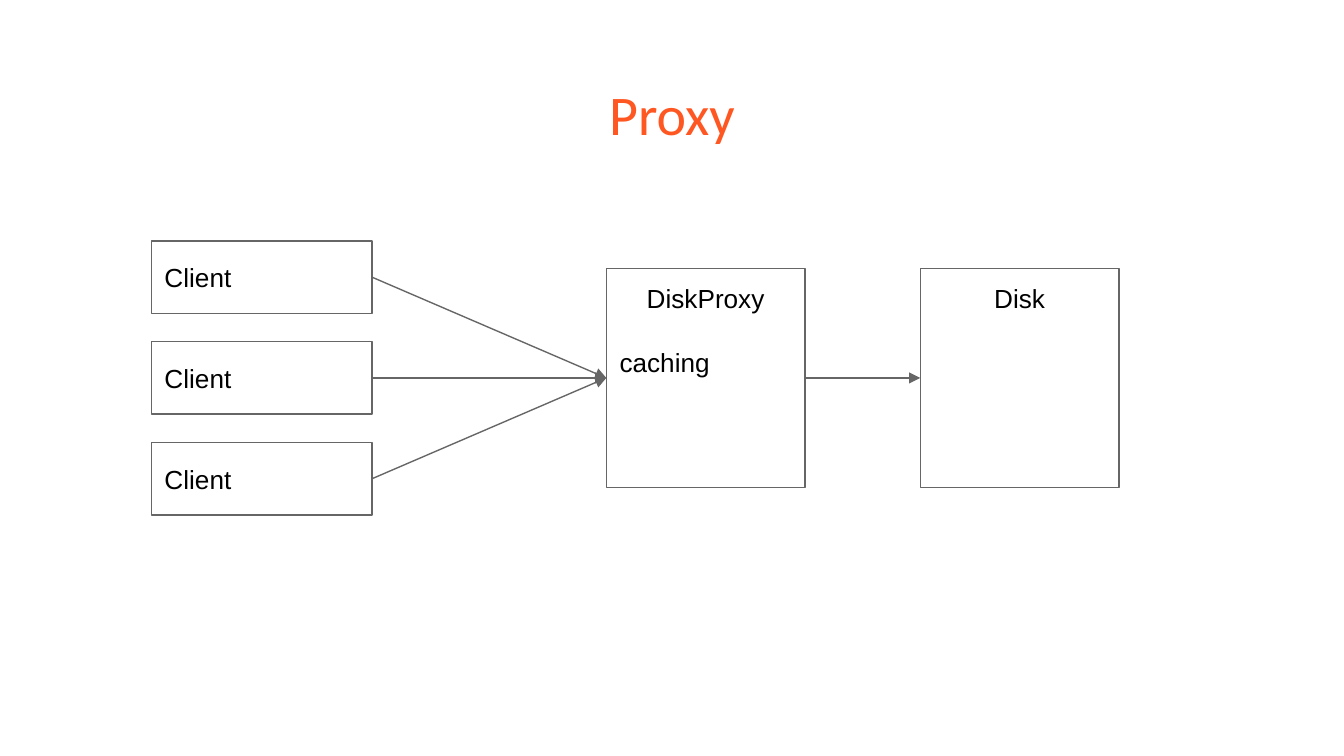
"""Build the Proxy pattern slide: clients, a caching disk proxy and a disk."""
import pptx
import pptx.util
import pptx.dml.color
import pptx.enum.shapes
import pptx.enum.text
import lxml.etree

Pt = pptx.util.Pt
ALIGN = pptx.enum.text.PP_ALIGN
ANCHOR = pptx.enum.text.MSO_ANCHOR
INK, LINE, ACCENT = "000000", "666666", "FF5722"
LEFT, RIGHT = 1, 3

TITLE = "Proxy"
CLIENTS = ["Client", "Client", "Client"]
PROXY = ["DiskProxy", "caching"]
DISK = ["Disk"]

MID_Y = 202.5
CLIENT_X, CLIENT_W, CLIENT_H, CLIENT_PITCH = 81, 118.3, 38.8, 54
PROXY_X, DISK_X, BOX_W, BOX_H = 324.8, 493, 106.5, 117.3


def color(value):
    return pptx.dml.color.RGBColor.from_string(value)


def format_text(tf, lines, size, font, ink, align, anchor):
    tf.word_wrap = True
    tf.vertical_anchor = anchor
    tf.margin_left = tf.margin_right = tf.margin_top = tf.margin_bottom = Pt(7.2)
    tf.text = "\n".join(lines)
    for p in tf.paragraphs:
        p.alignment = align
        for r in p.runs:
            r.font.size, r.font.name = Pt(size), font
            r.font.color.rgb = color(ink)


def add_box(lines, x, mid_y, w, h, align, anchor):
    sp = s.shapes.add_shape(pptx.enum.shapes.MSO_SHAPE.RECTANGLE,
                            Pt(x), Pt(mid_y - h / 2), Pt(w), Pt(h))
    sp.shadow.inherit = False
    sp.fill.background()
    sp.line.color.rgb = color(LINE)
    sp.line.width = Pt(0.75)
    format_text(sp.text_frame, lines, 14, "Arial", INK, align, anchor)
    return sp


def add_arrow(source, target):
    cx = s.shapes.add_connector(pptx.enum.shapes.MSO_CONNECTOR.STRAIGHT, 0, 0, 0, 0)
    cx.begin_connect(source, RIGHT)
    cx.end_connect(target, LEFT)
    cx.line.color.rgb = color(LINE)
    cx.line.width = Pt(0.75)
    ns = pptx.oxml.ns.qn
    lxml.etree.SubElement(cx.line._get_or_add_ln(), ns("a:tailEnd"), type="triangle")
    lxml.etree.SubElement(cx._element.spPr, ns("a:effectLst"))


prs = pptx.Presentation()
prs.slide_width, prs.slide_height = Pt(720), Pt(405)
s = prs.slides.add_slide(prs.slide_layouts[5])

title = s.shapes.title
title.left, title.top, title.width, title.height = Pt(24.5), Pt(35.3), Pt(671), Pt(45.4)
format_text(title.text_frame, [TITLE], 30, "Calibri", ACCENT, ALIGN.CENTER, ANCHOR.TOP)
title.text_frame.auto_size = pptx.enum.text.MSO_AUTO_SIZE.NONE

disk = add_box(DISK, DISK_X, MID_Y, BOX_W, BOX_H, ALIGN.CENTER, ANCHOR.TOP)
proxy = add_box(PROXY, PROXY_X, MID_Y, BOX_W, BOX_H, ALIGN.CENTER, ANCHOR.TOP)
note = proxy.text_frame.paragraphs[1]
note.alignment = ALIGN.LEFT
note.space_before = Pt(17.5)

add_arrow(proxy, disk)
for i, name in enumerate(CLIENTS):
    y = MID_Y + (i - (len(CLIENTS) - 1) / 2) * CLIENT_PITCH
    client = add_box([name], CLIENT_X, y, CLIENT_W, CLIENT_H, ALIGN.LEFT, ANCHOR.MIDDLE)
    add_arrow(client, proxy)

prs.save("out.pptx")
